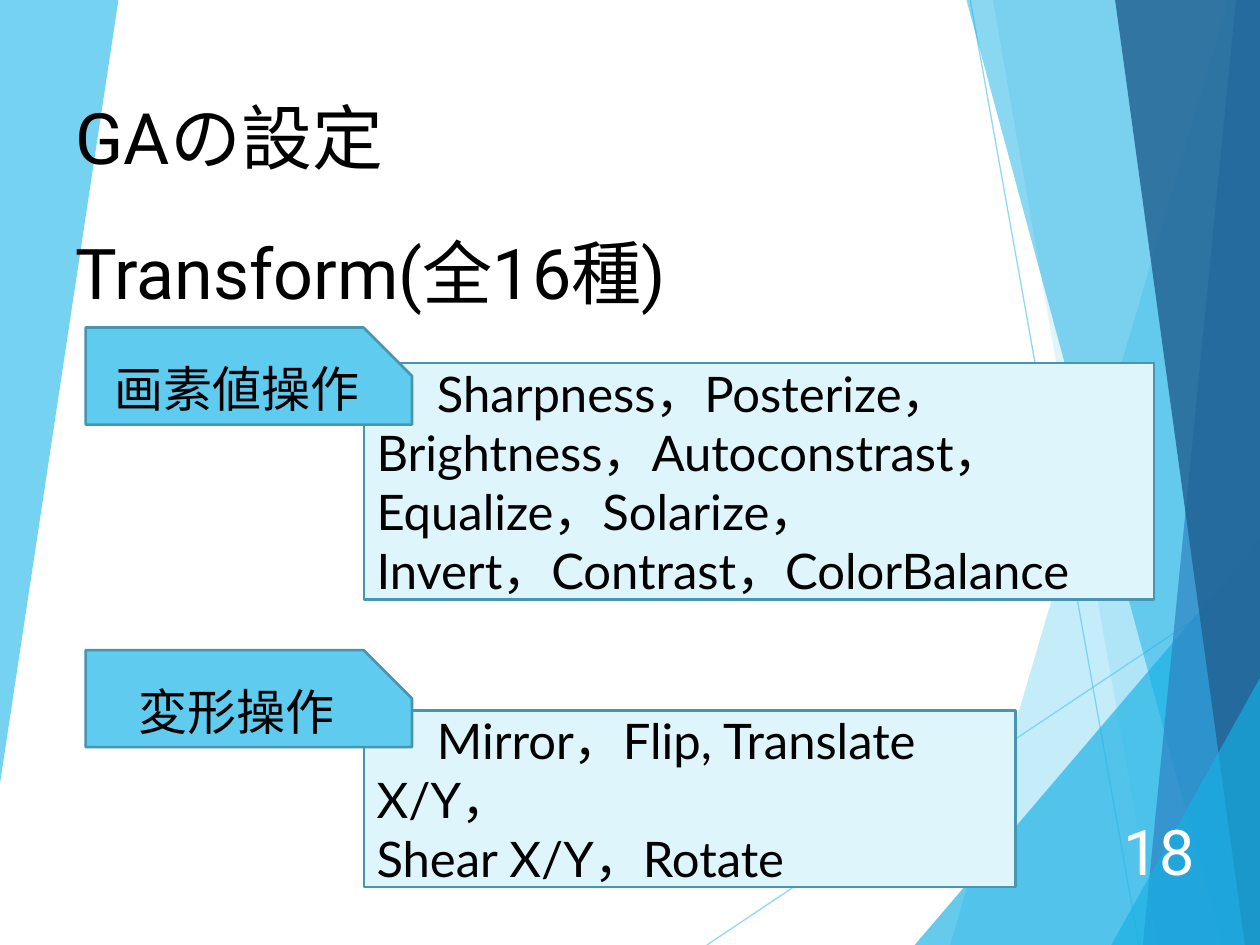
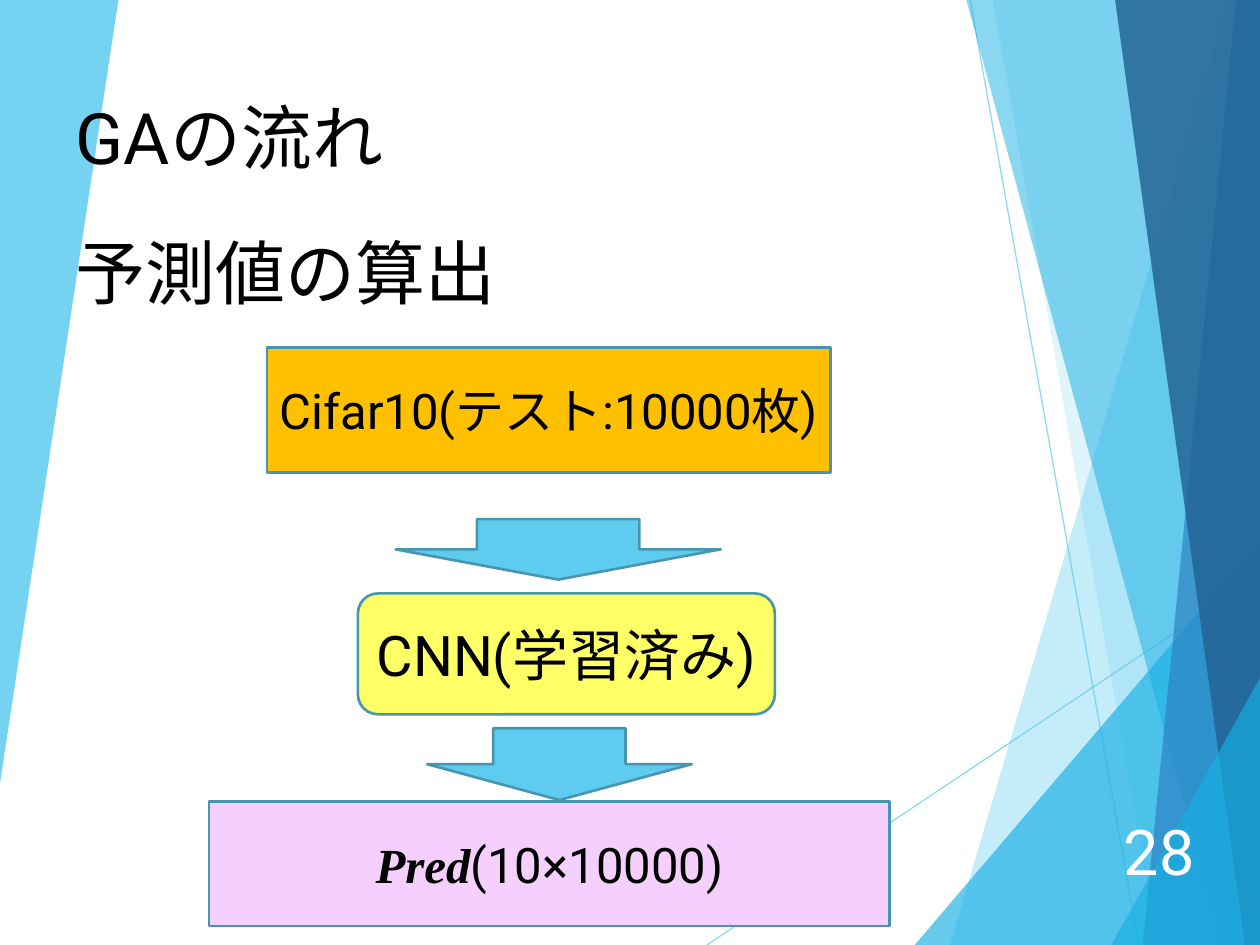
from itertools import count

from lxml.etree import SubElement
from pptx import Presentation
from pptx.dml.color import RGBColor
from pptx.enum.shapes import MSO_CONNECTOR, MSO_SHAPE
from pptx.enum.text import MSO_ANCHOR, MSO_AUTO_SIZE, PP_ALIGN
from pptx.oxml.ns import qn
from pptx.util import Pt

PX = 9144  # EMU per px, 100 px to the inch
WIDTH, HEIGHT = 1000, 750
COLORS = {
    "black": "000000", "white": "FFFFFF", "sky": "5FCBEF", "outline": "4696B1",
    "pale": "DFF5FC", "cyan": "17B0E4", "blue": "2E83C3", "navy": "226292",
    "orange": "FFC000", "yellow": "FFFF66", "pink": "F5CFFD",
}
HEADING_FONT, LIST_FONT, EAST_ASIAN_FONT = "Roboto", "Lato", "Lato"

RAYS = [((561, 750), (1000, 457)), ((770, 0), (904, 750))]
FACETS = [  # colour, opacity in percent, corners
    ("sky", 36, [(975, 0), (754, 750), (1000, 750), (1000, 0)]),
    ("sky", 20, [(788, 0), (919, 750), (1000, 750), (1000, 0)]),
    ("cyan", 66, [(726, 750), (1000, 429), (1000, 750)]),
    ("cyan", 50, [(767, 0), (970, 750), (1000, 750), (1000, 0)]),
    ("blue", 70, [(981, 0), (907, 750), (1000, 750), (1000, 0)]),
    ("navy", 82, [(885, 0), (988, 750), (1000, 750), (1000, 0)]),
    ("cyan", 66, [(882, 750), (1000, 538), (1000, 750)]),
    ("sky", 85, [(0, 0), (94, 0), (0, 622)]),
]


def emu(*lengths):
    return [length * PX for length in lengths]


def color(name):
    return RGBColor.from_string(COLORS[name])


def set_opacity(shape, percent):
    for fill_color in shape._element.iter(qn("a:srgbClr")):
        SubElement(fill_color, qn("a:alpha"), val=str(percent * 1000))


def style_paragraph(paragraph, size, font=HEADING_FONT, ink="black",
                    align=PP_ALIGN.LEFT):
    paragraph.alignment = align
    paragraph.font.size = Pt(size)
    paragraph.font.name = font
    paragraph.font.color.rgb = color(ink)
    defaults = paragraph._p.pPr.find(qn("a:defRPr"))
    SubElement(defaults, qn("a:ea"), typeface=EAST_ASIAN_FONT)


def write(shape, lines, size, anchor=MSO_ANCHOR.MIDDLE, **style):
    frame = shape.text_frame
    frame.auto_size = MSO_AUTO_SIZE.NONE
    frame.word_wrap = True
    frame.vertical_anchor = anchor
    frame.text = "\n".join(lines)
    for paragraph in frame.paragraphs:
        style_paragraph(paragraph, size, **style)


def add_box(slide, kind, box, fill):
    shape = slide.shapes.add_shape(kind, *emu(*box))
    shape.shadow.inherit = False
    shape.fill.solid()
    shape.fill.fore_color.rgb = color(fill)
    shape.line.color.rgb = color("outline")
    shape.line.width = Pt(1.5)
    return shape


def add_label(slide, kind, box, fill, text, size=28):
    shape = add_box(slide, kind, box, fill)
    write(shape, [text], size, align=PP_ALIGN.CENTER)
    return shape


def add_ray(slide, start, end):
    ray = slide.shapes.add_connector(MSO_CONNECTOR.STRAIGHT, *emu(*start, *end))
    ray.line.color.rgb = color("sky")
    ray.line.width = Pt(0.75)
    set_opacity(ray, 70)
    SubElement(ray._element.spPr, qn("a:effectLst"))
    return ray


def add_facet(slide, fill, opacity, corners):
    builder = slide.shapes.build_freeform(*corners[0], scale=PX)
    builder.add_line_segments(corners[1:], close=True)
    facet = builder.convert_to_shape()
    facet.shadow.inherit = False
    facet.fill.solid()
    facet.fill.fore_color.rgb = color(fill)
    facet.line.fill.background()
    set_opacity(facet, opacity)
    return facet


def decorate_layout(layout, slide):
    """Draw the facets on the slide, then hand them to the layout all slides share."""
    pieces = [add_ray(slide, *ray) for ray in RAYS]
    pieces += [add_facet(slide, *facet) for facet in FACETS]
    first_placeholder = layout.placeholders[0]._element
    for number, piece in zip(count(100), pieces):
        next(piece._element.iter(qn("p:cNvPr"))).set("id", str(number))
        first_placeholder.addprevious(piece._element)


def add_headings(slide, title, subtitle, page):
    heading = slide.shapes.title
    heading.left, heading.top, heading.width, heading.height = emu(50, 69, 381, 78)
    write(heading, [title], 40.5, MSO_ANCHOR.TOP)
    subheading = slide.shapes.add_textbox(*emu(50, 177, 771, 77))
    write(subheading, [subtitle], 40, MSO_ANCHOR.TOP)
    page_number = slide.shapes.add_textbox(*emu(874, 648, 84, 53))
    write(page_number, [page], 36, ink="white", align=PP_ALIGN.RIGHT)


def add_operation_group(slide, left, top, name, operations, panel):
    """Place a snipped tab at left, top, over a panel given as drop, width, height."""
    drop, width, height = panel
    list_box = add_box(slide, MSO_SHAPE.RECTANGLE,
                       (left + 221, top + drop, width, height), "pale")
    write(list_box, operations, 28, font=LIST_FONT)
    list_box.text_frame.paragraphs[0]._p.pPr.set("indent", str(48 * PX))
    tab = add_label(slide, MSO_SHAPE.SNIP_1_RECTANGLE, (left, top, 259, 77), "sky", name)
    tab.adjustments[0] = 0.5


def fill_transform_slide(slide):
    add_headings(slide, "GAの設定", "Transform(全16種)", "18")
    add_operation_group(slide, 68, 516, "変形操作",
                        ["Mirror，Flip, Translate X/Y，", "Shear X/Y，Rotate"],
                        (48, 517, 140))
    add_operation_group(slide, 68, 260, "画素値操作",
                        ["Sharpness，Posterize，Brightness，Autoconstrast，"
                         "Equalize，Solarize，",
                         "Invert，Contrast，ColorBalance"],
                        (28, 627, 188))


def add_prediction(slide, box):
    shape = add_box(slide, MSO_SHAPE.RECTANGLE, box, "pink")
    write(shape, [""], 28, align=PP_ALIGN.CENTER)
    paragraph = shape.text_frame.paragraphs[0]
    name, dimensions = paragraph.add_run(), paragraph.add_run()
    name.text, dimensions.text = "Pred", "(10×10000)"
    name.font.name = "Times New Roman"
    name.font.bold = name.font.italic = True


def fill_prediction_slide(slide):
    add_headings(slide, "GAの流れ", "予測値の算出", "28")
    add_label(slide, MSO_SHAPE.RECTANGLE, (212, 276, 447, 99), "orange",
              "Cifar10(テスト:10000枚)")
    add_label(slide, MSO_SHAPE.ROUNDED_RECTANGLE, (284, 471, 331, 96), "yellow",
              "CNN(学習済み)", 32)
    add_prediction(slide, (166, 636, 540, 99))
    for arrow_box in [(314, 412, 258, 48), (339, 578, 210, 57)]:
        add_box(slide, MSO_SHAPE.DOWN_ARROW, arrow_box, "sky")


def main():
    presentation = Presentation()
    presentation.slide_width, presentation.slide_height = emu(WIDTH, HEIGHT)
    layout = presentation.slide_layouts[5]
    transform_slide = presentation.slides.add_slide(layout)
    decorate_layout(layout, transform_slide)
    fill_transform_slide(transform_slide)
    fill_prediction_slide(presentation.slides.add_slide(layout))
    presentation.save("out.pptx")


if __name__ == "__main__":
    main()
